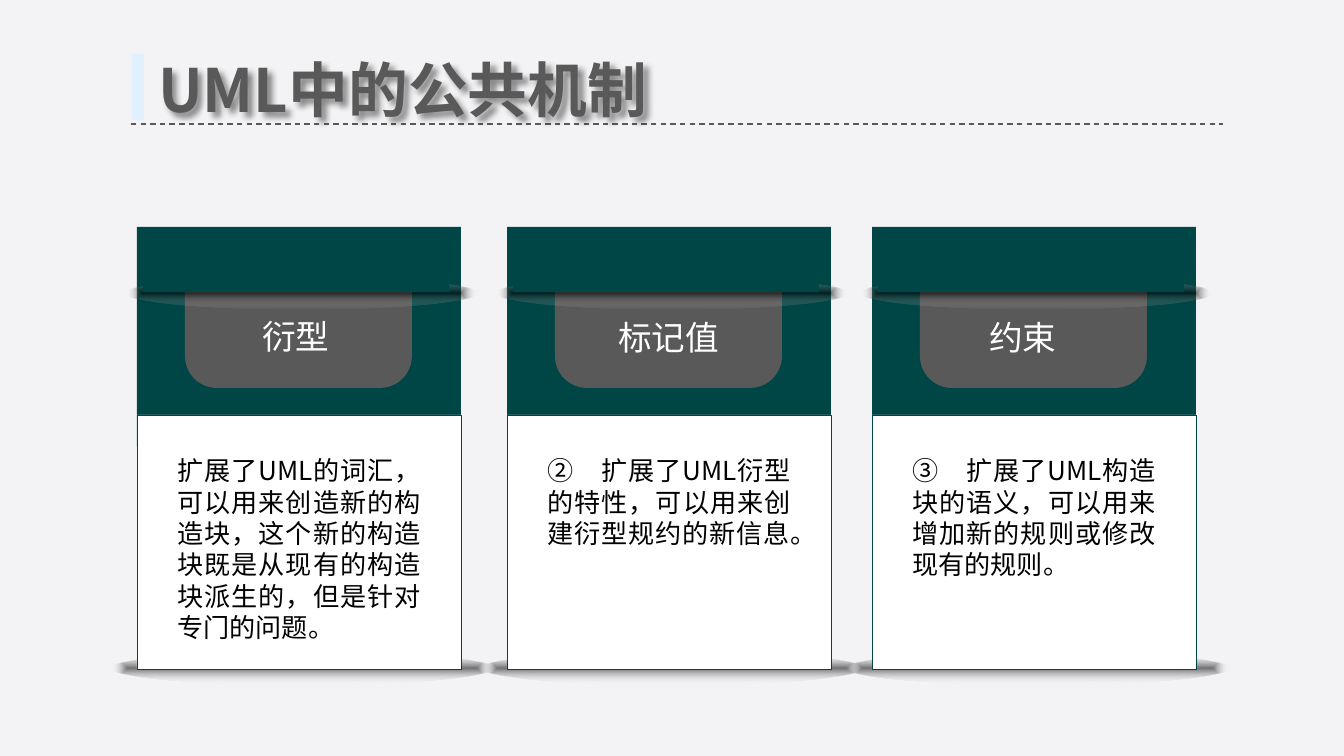
from dataclasses import dataclass

from lxml import etree
from pptx import Presentation, util as u
from pptx.dml.color import RGBColor
from pptx.enum import dml, shapes, text
from pptx.oxml import parse_xml
from pptx.oxml.ns import nsdecls, qn

SCALE = 914400 / 134.4


@dataclass(frozen=True)
class Theme:
    background: str = "F3F3F5"
    accent: str = "E1F0FF"
    green: str = "004646"
    gray: str = "595959"
    white: str = "FFFFFF"
    black: str = "000000"
    font: str = "Noto Sans CJK SC"
    title_size: int = 32
    label_size: int = 18
    body_size: int = 14


THEME = Theme()

CARDS = [
    (137, (249, 309, 94, 54), "衍型", 203,
     "扩展了UML的词汇，可以用来创造新的构造块，这个新的构造块既是从现有的构造块派生的，但是针对专门的问题。"),
    (507, (605, 310, 128, 54), "标记值", 109,
     "②\u3000扩展了UML衍型的特性，可以用来创建衍型规约的新信息。"),
    (872, (976, 310, 94, 54), "约束", 140,
     "③\u3000扩展了UML构造块的语义，可以用来增加新的规则或修改现有的规则。"),
]


def px(value):
    return u.Emu(round(value * SCALE))


def color(value):
    return RGBColor.from_string(value)


def add_block(parent, kind, box, fill, line=None):
    shape = parent.add_shape(kind, *map(px, box))
    shape.shadow.inherit = False
    shape.fill.solid()
    shape.fill.fore_color.rgb = color(fill)
    if line:
        shape.line.color.rgb = color(line)
        shape.line.width = u.Pt(0.1)
    else:
        shape.line.fill.background()
    return shape


def add_soft_ellipse(parent, box):
    shape = add_block(parent, shapes.MSO_SHAPE.OVAL, box, THEME.black)
    solid = shape._element.spPr.find(qn("a:solidFill"))
    gradient = parse_xml(
        f'<a:gradFill {nsdecls("a")} rotWithShape="1"><a:gsLst>'
        f'<a:gs pos="0"><a:srgbClr val="{THEME.black}"><a:alpha val="53000"/></a:srgbClr></a:gs>'
        f'<a:gs pos="100000"><a:srgbClr val="{THEME.white}"><a:alpha val="0"/></a:srgbClr></a:gs>'
        '</a:gsLst><a:path path="shape">'
        '<a:fillToRect l="50000" t="50000" r="50000" b="50000"/></a:path></a:gradFill>')
    solid.getparent().replace(solid, gradient)


def add_text(slide, box, content, size, fill, bold=False, wrap=True, align=None):
    shape = slide.shapes.add_textbox(*map(px, box))
    frame = shape.text_frame
    frame.word_wrap = wrap
    frame.auto_size = text.MSO_AUTO_SIZE.SHAPE_TO_FIT_TEXT
    paragraph = frame.paragraphs[0]
    paragraph.text = content
    paragraph.alignment = align
    font = paragraph.font
    font.size = u.Pt(size)
    font.bold = bold
    font.color.rgb = color(fill)
    font.name = THEME.font
    latin = font._element.find(qn("a:latin"))
    east_asian = etree.Element(qn("a:ea"), typeface=THEME.font)
    latin.addnext(east_asian)
    return shape


def add_title(slide):
    add_block(slide.shapes, shapes.MSO_SHAPE.RECTANGLE, (132, 54, 12, 66), THEME.accent)
    rule = slide.shapes.add_connector(
        shapes.MSO_CONNECTOR.STRAIGHT, *map(px, (131, 124, 1223, 124)))
    rule.line.color.rgb = color(THEME.gray)
    rule.line.width = u.Pt(0.75)
    rule.line.dash_style = dml.MSO_LINE.DASH
    etree.SubElement(rule._element.spPr, qn("a:effectLst"))
    title = add_text(slide, (145, 46, 569, 86), "UML中的公共机制",
                     THEME.title_size, THEME.gray, bold=True)
    title._element.spPr.append(parse_xml(
        f'<a:effectLst {nsdecls("a")}><a:outerShdw blurRad="38100" dist="38100" dir="2700000">'
        f'<a:srgbClr val="{THEME.black}"><a:alpha val="43000"/></a:srgbClr>'
        '</a:outerShdw></a:effectLst>'))


def add_card(slide, left, label_box, label, body_height, body):
    rectangle = shapes.MSO_SHAPE.RECTANGLE
    parts = slide.shapes.add_group_shape().shapes
    add_soft_ellipse(parts, (left - 25, 652, 381, 32))
    add_block(parts, rectangle, (left, 227, 324, 220), THEME.green)
    tab = add_block(parts, shapes.MSO_SHAPE.ROUNDED_RECTANGLE,
                    (left + 48, 255, 227, 133), THEME.gray)
    tab.adjustments[0] = 0.24
    add_soft_ellipse(parts, (left - 10, 277, 349, 32))
    add_block(parts, rectangle, (left + 6, 245, 306, 47), THEME.green)
    add_block(parts, rectangle, (left, 415, 324, 254), THEME.white, THEME.green)
    add_text(slide, label_box, label, THEME.label_size, THEME.white, wrap=False)
    add_text(slide, (left + 27, 448, 270, body_height), body, THEME.body_size,
             THEME.black, align=text.PP_ALIGN.JUSTIFY)


def main():
    presentation = Presentation()
    presentation.slide_width, presentation.slide_height = px(1344), px(756)
    slide = presentation.slides.add_slide(presentation.slide_layouts[6])
    slide.background.fill.solid()
    slide.background.fill.fore_color.rgb = color(THEME.background)
    add_title(slide)
    for card in CARDS:
        add_card(slide, *card)
    presentation.save("out.pptx")


main()
